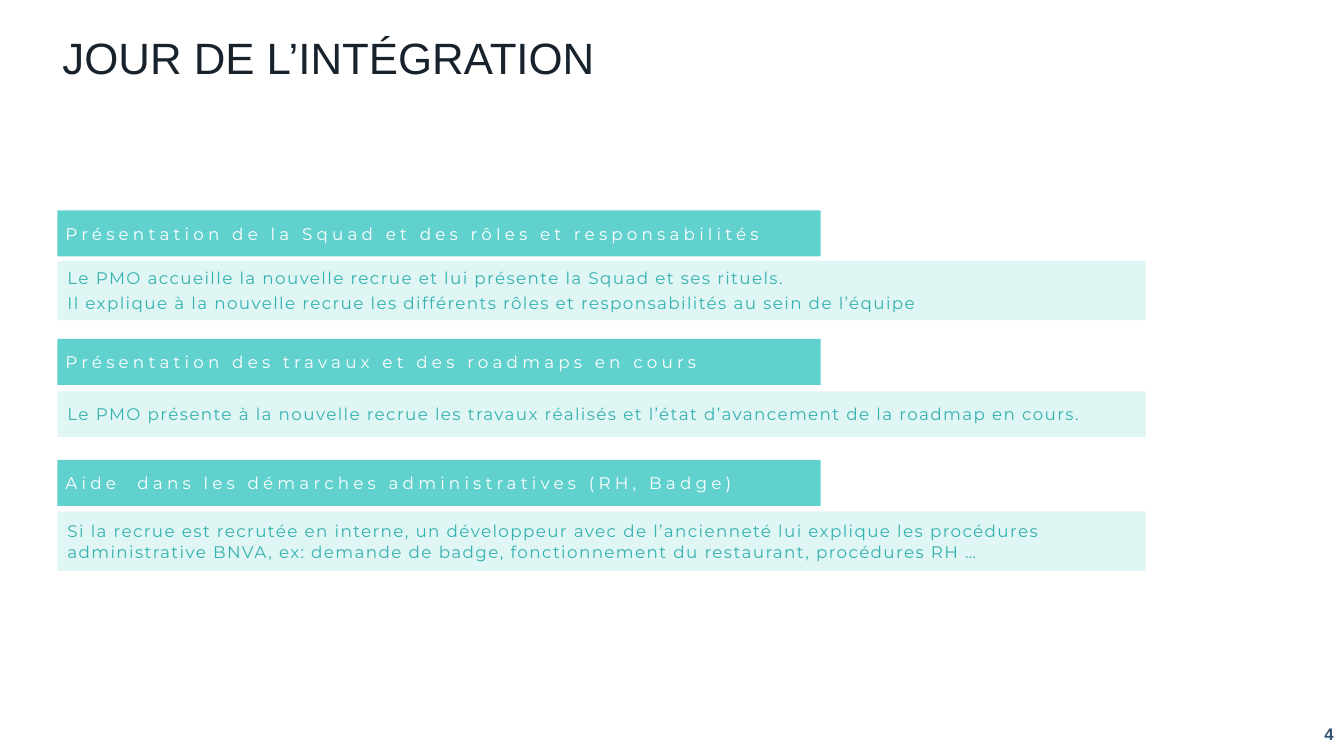
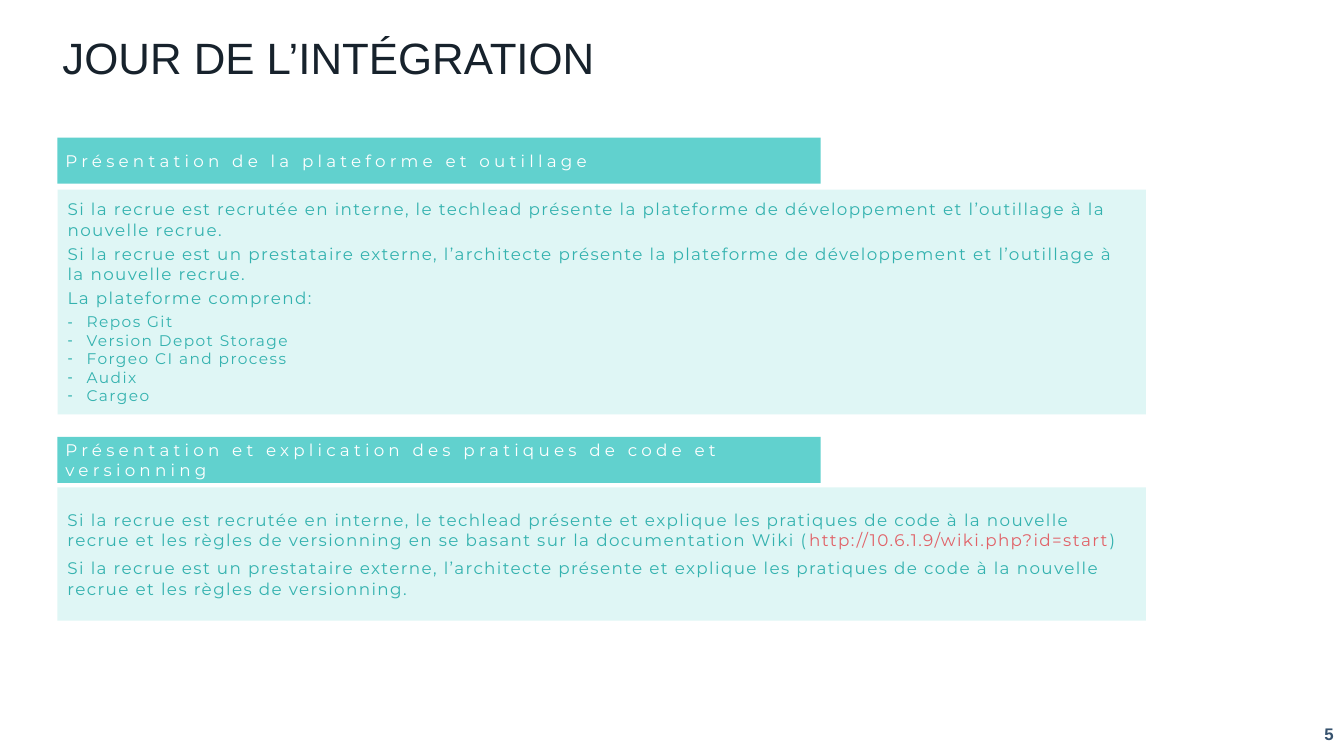
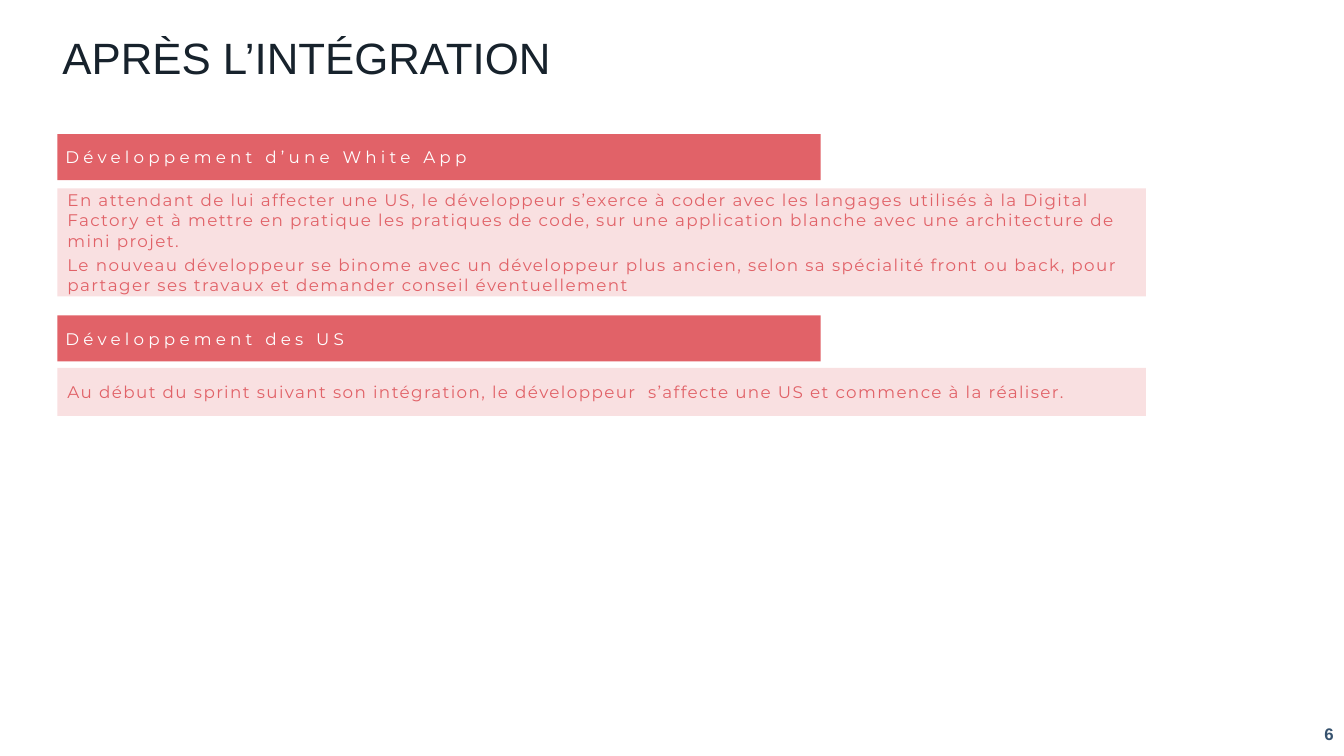
from pptx import Presentation
from pptx.dml.color import RGBColor
from pptx.enum.shapes import MSO_SHAPE
from pptx.enum.text import MSO_ANCHOR, MSO_AUTO_SIZE, PP_ALIGN
from pptx.oxml.ns import qn
from pptx.util import Cm, Pt
from lxml.etree import SubElement

INK = RGBColor(0x17, 0x22, 0x2C)
NAVY = RGBColor(0x36, 0x52, 0x6E)
WHITE = RGBColor(0xFF, 0xFF, 0xFF)
TEAL = RGBColor(0x61, 0xD1, 0xCE)
DEEP = RGBColor(0x34, 0xB2, 0xAF)
MIST = RGBColor(0xDF, 0xF6, 0xF5)
CORAL = RGBColor(0xE1, 0x62, 0x68)
BLUSH = RGBColor(0xF9, 0xE0, 0xE1)

# Band fill, panel fill, panel text
DAY = (TEAL, MIST, DEEP)
AFTER = (CORAL, BLUSH, CORAL)


class Deck:
    left = Cm(1.45)
    hang = Cm(0.48)

    def __init__(self):
        self.prs = Presentation()
        self.prs.slide_width, self.prs.slide_height = Cm(33.87), Cm(19.05)

    def place(self, shape, left, top, width, height):
        shape.left, shape.top, shape.width, shape.height = left, top, width, height

    def frame(self, shape):
        frame = shape.text_frame
        frame.auto_size = MSO_AUTO_SIZE.NONE
        frame.word_wrap = True
        frame.vertical_anchor = MSO_ANCHOR.MIDDLE
        return frame

    def run(self, para, text, size, color, face="Montserrat", bold=False, **props):
        run = para.add_run()
        run.text = text
        font = run.font
        font.size, font.name, font.bold = Pt(size), face, bold
        font.color.rgb = color
        for key, value in props.items():
            run._r.get_or_add_rPr().set(key, str(value))

    def para(self, frame, first, before=0, bullet=False):
        para = frame.paragraphs[0] if first else frame.add_paragraph()
        para.alignment = PP_ALIGN.LEFT
        para.space_before, para.space_after = Pt(before), Pt(0)
        props = para._p.get_or_add_pPr()
        hang = self.hang if bullet else 0
        props.set("marL", str(hang))
        props.set("indent", str(-hang))
        if bullet:
            SubElement(props, qn("a:buChar")).set("char", "-")
        else:
            SubElement(props, qn("a:buNone"))
        return para

    def slide(self, title, number, tones, body=False):
        layout = self.prs.slide_layouts[1 if body else 5]
        self.page = self.prs.slides.add_slide(layout)
        self.tones = tones
        # Title
        head = self.page.shapes.title
        self.place(head, Cm(1.32), Cm(0.56), Cm(29.21), Cm(1.57))
        para = self.para(self.frame(head), True)
        self.run(para, title, 54, INK, "Arial", baseline=12000)
        # Page number
        box = self.page.shapes.add_textbox(Cm(32.41), Cm(17.91), Cm(1.45), Cm(1.14))
        para = self.para(self.frame(box), True)
        para.alignment = PP_ALIGN.RIGHT
        self.run(para, str(number), 12, NAVY, "Arial", True)

    def block(self, top, height, fill, width):
        box = self.page.shapes.add_shape(
            MSO_SHAPE.RECTANGLE, self.left, Cm(top), Cm(width), Cm(height))
        box.shadow.inherit = False
        box.fill.solid()
        box.fill.fore_color.rgb = fill
        box.line.fill.background()
        return box

    def band(self, top, text):
        frame = self.frame(self.block(top, 1.16, self.tones[0], 19.23))
        frame.margin_left = frame.margin_right = Cm(0.2)
        self.run(self.para(frame, True), text, 12, WHITE, spc=300)

    def fill(self, shape, paras, items=(), gap=3):
        """Each paragraph is a text or a list of (text, colour) runs."""
        frame = self.frame(shape)
        color = self.tones[2]
        for i, runs in enumerate(paras):
            para = self.para(frame, i == 0, gap if i else 0)
            if isinstance(runs, str):
                runs = [(runs, color)]
            for text, tone in runs:
                self.run(para, text, 12, tone, spc=100)
        for i, text in enumerate(items):
            para = self.para(frame, False, 0 if i else gap, bullet=True)
            self.run(para, text, 11, color, spc=100)

    def panel(self, top, height, *paras, gap=3):
        self.fill(self.block(top, height, self.tones[1], 27.43), paras, gap=gap)

    def listing(self, top, height, paras, items):
        body = self.page.placeholders[1]
        self.place(body, self.left, Cm(top), Cm(27.43), Cm(height))
        body.fill.solid()
        body.fill.fore_color.rgb = self.tones[1]
        self.fill(body, paras, items)


def main():
    deck = Deck()

    # Integration day: team, work and paperwork
    deck.slide("JOUR DE L’INTÉGRATION", 4, DAY)
    deck.band(5.3, "Présentation de la Squad et des rôles et responsabilités")
    deck.panel(
        6.57, 1.5,
        "Le PMO accueille la nouvelle recrue et lui présente la Squad et ses rituels.",
        "Il explique à la nouvelle recrue les différents rôles et responsabilités "
        "au sein de l’équipe")
    deck.band(8.54, "Présentation des travaux et des roadmaps en cours")
    deck.panel(
        9.86, 1.16,
        "Le PMO présente à la nouvelle recrue les travaux réalisés et l’état "
        "d’avancement de la roadmap en cours.")
    deck.band(11.59, "Aide  dans les démarches administratives (RH, Badge)")
    deck.panel(
        12.89, 1.5,
        "Si la recrue est recrutée en interne, un développeur avec de l’ancienneté "
        "lui explique les procédures administrative BNVA, ex: demande de badge, "
        "fonctionnement du restaurant, procédures RH …")

    # Integration day: platform and code
    deck.slide("JOUR DE L’INTÉGRATION", 5, DAY, body=True)
    deck.band(3.47, "Présentation de la plateforme et outillage")
    deck.listing(
        4.78, 5.66,
        ["Si la recrue est recrutée en interne, le techlead présente la plateforme "
         "de développement et l’outillage à la nouvelle recrue.",
         "Si la recrue est un prestataire externe, l’architecte présente la "
         "plateforme de développement et l’outillage à la nouvelle recrue.",
         "La plateforme comprend:"],
        ["Repos Git", "Version Depot Storage", "Forgeo CI and process",
         "Audix", "Cargeo"])
    deck.band(11.01, "Présentation et explication des pratiques de code et versionning")
    deck.panel(
        12.28, 3.36,
        [("Si la recrue est recrutée en interne, le techlead présente et explique les "
          "pratiques de code à la nouvelle recrue et les règles de versionning en se "
          "basant sur la documentation Wiki (", DEEP),
         ("http://10.6.1.9/wiki.php?id=start", CORAL),
         (")", DEEP)],
        "Si la recrue est un prestataire externe, l’architecte présente et explique "
        "les pratiques de code à la nouvelle recrue et les règles de versionning.",
        gap=6)

    # After integration
    deck.slide("APRÈS L’INTÉGRATION", 6, AFTER)
    deck.band(3.38, "Développement d’une White App")
    deck.panel(
        4.75, 2.72,
        "En attendant de lui affecter une US, le développeur s’exerce à coder avec "
        "les langages utilisés à la Digital Factory et à mettre en pratique les "
        "pratiques de code, sur une application blanche avec une architecture de "
        "mini projet.",
        "Le nouveau développeur se binome avec un développeur plus ancien, selon sa "
        "spécialité front ou back, pour partager ses travaux et demander conseil "
        "éventuellement")
    deck.band(7.95, "Développement des US")
    deck.panel(
        9.27, 1.21,
        "Au début du sprint suivant son intégration, le développeur  s’affecte une US "
        "et commence à la réaliser.")

    deck.prs.save("out.pptx")


if __name__ == "__main__":
    main()
